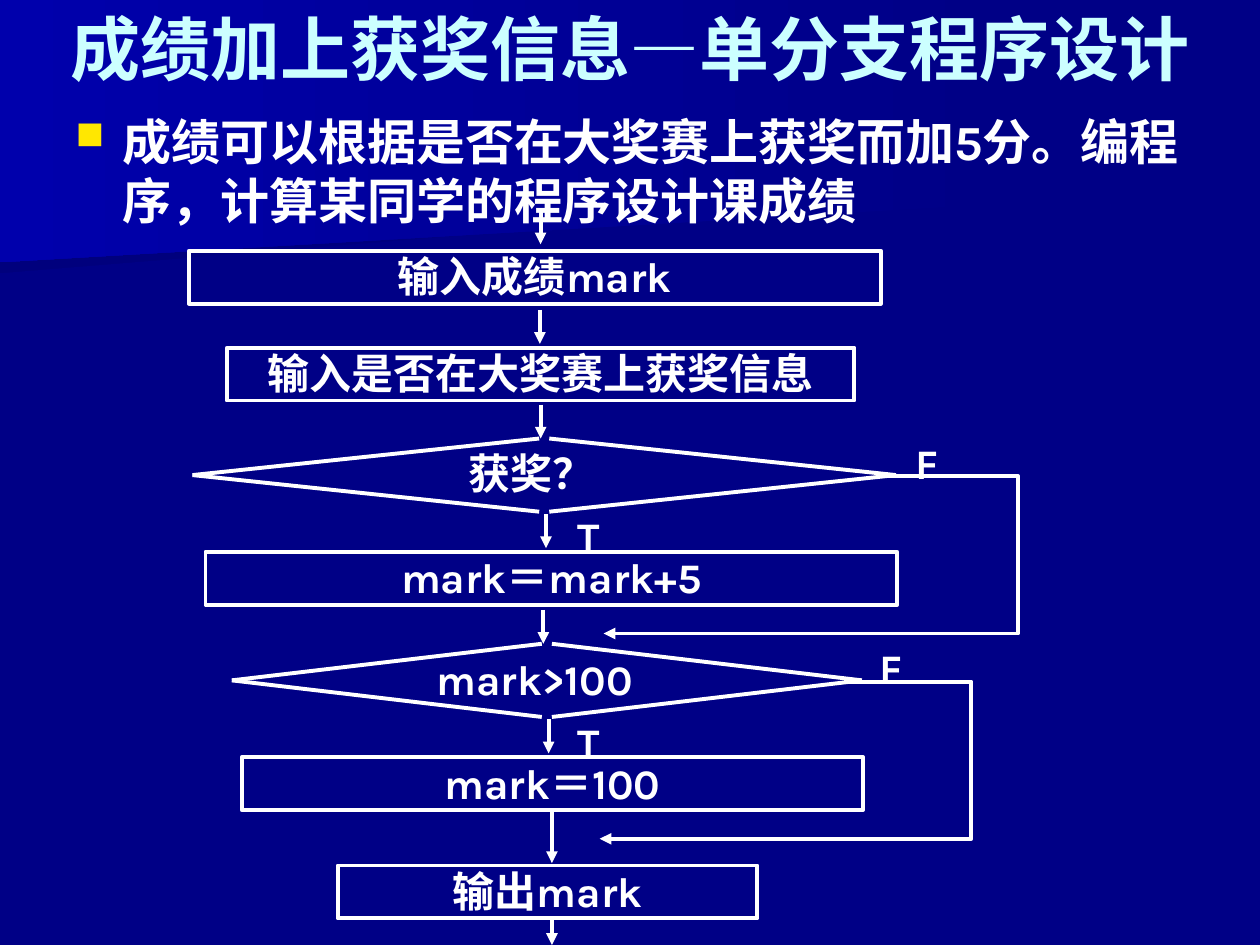
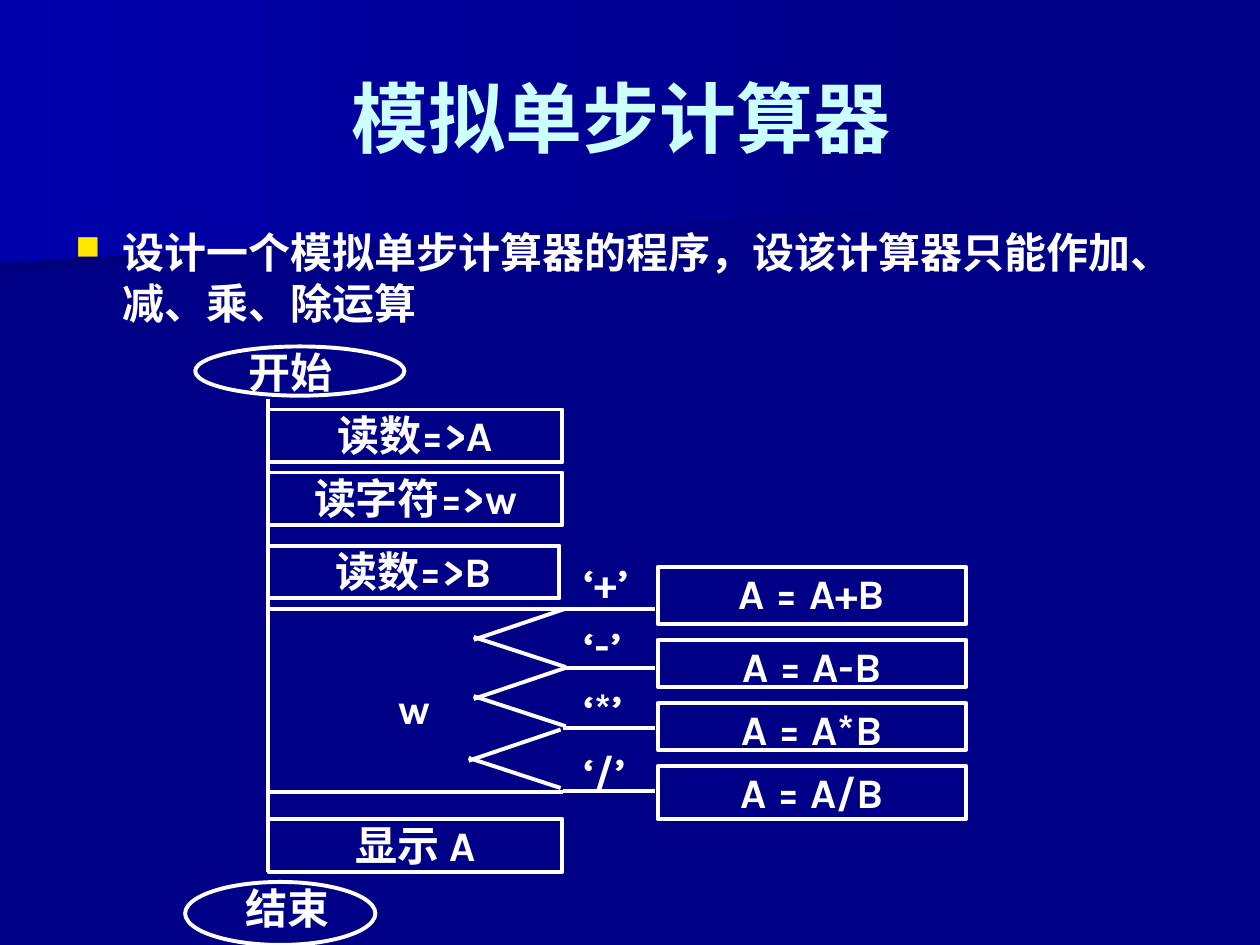
import dataclasses

import pptx
import pptx.dml.color
import pptx.enum.shapes
import pptx.enum.text
import pptx.oxml
import pptx.oxml.ns
import pptx.util

Pt = pptx.util.Pt
SHAPE = pptx.enum.shapes.MSO_SHAPE
ALIGN = pptx.enum.text.PP_ALIGN
ANCHOR = pptx.enum.text.MSO_ANCHOR


@dataclasses.dataclass(frozen=True)
class Theme:
    font: str = "Karla"
    background: str = "000086"
    band_dark: str = "00007D"
    band_light: str = "0000AC"
    title: str = "CCFFFF"
    text: str = "FFFFFF"
    bullet: str = "FFE701"
    line_width: float = 2.25
    title_size: int = 44
    long_title_size: int = 40
    lead_size: int = 28
    body_size: int = 24


THEME = Theme()
BOX_H = 30.2


# Basic elements
def rgb(value):
    return pptx.dml.color.RGBColor.from_string(value)


def add_xml(parent, tag, inner="", **attrs):
    """Append one DrawingML element to parent."""
    pairs = " ".join(f'{k}="{v}"' for k, v in attrs.items())
    ns = pptx.oxml.ns.nsdecls("a")
    parent.append(pptx.oxml.parse_xml(f"<a:{tag} {ns} {pairs}>{inner}</a:{tag}>"))


def write(tf, text, size=THEME.body_size, color=THEME.text, align=ALIGN.CENTER,
          anchor=ANCHOR.TOP, inset=(0, 0), bullet=False):
    tf.word_wrap = True
    tf.vertical_anchor = anchor
    tf.margin_left = tf.margin_right = Pt(inset[0])
    tf.margin_top = tf.margin_bottom = Pt(inset[1])
    p = tf.paragraphs[0]
    p.alignment = align
    if bullet:
        pPr = p._p.get_or_add_pPr()
        pPr.set("marL", str(Pt(27)))
        pPr.set("indent", str(Pt(-27)))
        add_xml(pPr, "buClr", f'<a:srgbClr val="{THEME.bullet}"/>')
        add_xml(pPr, "buSzPct", val=80000)
        add_xml(pPr, "buChar", char="■")
    r = p.add_run()
    r.text = text
    r.font.name = THEME.font
    r.font.size = Pt(size)
    r.font.bold = True
    r.font.color.rgb = rgb(color)


def add_text(s, x, y, w, h, text, **fmt):
    sp = s.shapes.add_textbox(Pt(x), Pt(y), Pt(w), Pt(h))
    write(sp.text_frame, text, **fmt)


def stroke(sp, arrow=False):
    sp.line.color.rgb = rgb(THEME.text)
    sp.line.width = Pt(THEME.line_width)
    if arrow:
        add_xml(sp.line._get_or_add_ln(), "tailEnd", type="triangle")


def add_outline(s, kind, x, y, w, h):
    sp = s.shapes.add_shape(kind, Pt(x), Pt(y), Pt(w), Pt(h))
    sp.shadow.inherit = False
    sp.fill.background()
    stroke(sp)
    return sp


def add_box(s, x, y, w, text, h=BOX_H):
    write(add_outline(s, SHAPE.RECTANGLE, x, y, w, h).text_frame, text)


def add_line(s, x1, y1, x2, y2, arrow=False):
    sp = s.shapes.add_connector(pptx.enum.shapes.MSO_CONNECTOR.STRAIGHT,
                                Pt(x1), Pt(y1), Pt(x2), Pt(y2))
    stroke(sp, arrow)
    add_xml(sp._element.spPr, "effectLst")


def add_arrow_down(s, x, y, length=19.4):
    add_line(s, x, y, x, y + length, arrow=True)


def add_path(s, points, close):
    start, *rest = [(Pt(x), Pt(y)) for x, y in points]
    builder = s.shapes.build_freeform(*start)
    builder.add_line_segments(rest, close=close)
    sp = builder.convert_to_shape()
    sp.shadow.inherit = False
    return sp


# Shared slide frame
def add_band(s, points, color):
    sp = add_path(s, points, close=True)
    sp.line.fill.background()
    sp.fill.gradient()
    sp.fill.gradient_angle = 180
    for stop, value in zip(sp.fill.gradient_stops, (THEME.background, color)):
        stop.color.rgb = rgb(value)


def add_slide(prs, title, title_box, title_size, lead, lead_top, lead_size):
    s = prs.slides.add_slide(prs.slide_layouts[6])
    add_band(s, [(560.2, 110.2), (0, 156), (0, 72.7), (560.9, 72.7), (560.2, 92.2)],
             THEME.band_dark)
    add_band(s, [(570.2, 116.6), (0, 149.8), (0, 0), (570.2, 0)], THEME.band_light)
    add_text(s, *title_box, title, size=title_size, color=THEME.title,
             anchor=ANCHOR.MIDDLE, inset=(7.2, 3.6))
    add_text(s, 36, lead_top, 648, 354, lead, size=lead_size, align=ALIGN.LEFT,
             inset=(7.2, 3.6), bullet=True)
    return s


# Flowchart parts
def add_branch(s, top, cx, half_w, question, question_cx, action, action_x, action_w,
               false_cx, bypass):
    """Decision with its action below and a bypass for the false case."""
    mid, bottom = top + 20.9, top + 41.8
    for side in (-1, 1):
        for y in (top, bottom):
            add_line(s, cx + side * 2.9, y, cx + side * half_w, mid)
    question_w = 2 * half_w - 50
    add_text(s, question_cx - question_w / 2, top + 5.4, question_w, 24.5, question)
    add_text(s, false_cx - 48, top - 0.7, 96, 22.3, "F")
    add_text(s, 330, top + 41.4, 63, 17, "T", align=ALIGN.LEFT)
    add_arrow_down(s, cx - 2, top - 19.4)
    add_arrow_down(s, cx + 1, top + 43.2)
    add_box(s, action_x, top + 64.8, action_w, action)
    start, right, end = bypass
    out_y, back_y = top + 21.6, top + 111.4
    sp = add_path(s, [(start, out_y), (right, out_y), (right, back_y), (end, back_y)],
                  close=False)
    sp.fill.background()
    stroke(sp, arrow=True)


def add_terminal(s, x, y, w, h, text, text_cx):
    add_text(s, text_cx - 40, y, 80, 23, text)
    add_outline(s, SHAPE.OVAL, x, y, w, h)


def build_award_slide(prs):
    s = add_slide(prs, "成绩加上获奖信息—单分支程序设计", (24, -18, 672, 90),
                  THEME.long_title_size,
                  "成绩可以根据是否在大奖赛上获奖而加5分。编程序，计算某同学的程序设计课成绩",
                  60, THEME.lead_size)
    # Inputs
    add_arrow_down(s, 308.9, 120.2)
    add_box(s, 108, 143.3, 395.3, "输入成绩mark")
    add_arrow_down(s, 308.5, 177.1)
    add_box(s, 129.6, 198.7, 358.6, "输入是否在大奖赛上获奖信息")
    # Decisions
    add_branch(s, 250.6, 311, 201, "获奖？", 303.5, "mark＝mark+5", 117.4, 395.3,
               529.9, (501.1, 581.8, 344.9))
    add_branch(s, 367.9, 312.5, 180, "mark>100", 305.6, "mark＝100", 138.2, 355,
               509, (482.4, 555.1, 342.7))
    # Output
    add_arrow_down(s, 315.4, 463, 30.2)
    add_box(s, 193, 494.6, 239.8, "输出mark")
    add_arrow_down(s, 315.4, 525.6, 14.4)


def build_calculator_slide(prs):
    s = add_slide(prs, "模拟单步计算器 ", (36, 21.6, 648, 90), THEME.title_size,
                  "设计一个模拟单步计算器的程序，设该计算器只能作加、减、乘、除运算",
                  126, THEME.body_size)
    # Main sequence along the spine
    spine, fork = 153.4, 322
    add_terminal(s, 111.6, 198, 119.5, 28.1, "开始", 165.8)
    add_line(s, spine, 228.2, spine, 498.2)
    for y, w, text in ((234, 168, "读数=>A"), (270, 168, "读字符=>w"),
                       (311.8, 166.3, "读数=>B"), (468, 168, "显示 A")):
        add_box(s, spine, y, w, text)
    add_terminal(s, 105.8, 504, 108.7, 36, "结束", 164.2)
    # Selection on w
    add_text(s, 183.6, 390.2, 106.6, 36, "w")
    for y in (347.8, 452.5):
        add_line(s, spine, y, fork, y)
    for right, top in ((323.3, 347.8), (323.3, 381.6), (320.4, 416.9)):
        tip = right - 52.6
        add_line(s, right, top, tip, top + 17.8)
        add_line(s, right, top + 33.4, tip, top + 16.2)
    # Cases: operator, line height, box top, box height
    cases = (("+", 347.8, 324, 32.4), ("-", 381.6, 365.8, 26.6),
             ("*", 415.8, 401.8, 26.6), ("/", 452.2, 437.8, 30.2))
    for i, (op, line_y, box_y, box_h) in enumerate(cases):
        add_text(s, 333.4, 318.2 + 36 * i, 53, 28, f"‘{op}’", align=ALIGN.LEFT)
        add_line(s, fork, line_y, 374.4, line_y)
        add_box(s, 375.8, box_y, 176.4, f"A = A{op}B", box_h)


def main():
    prs = pptx.Presentation()
    prs.slide_width, prs.slide_height = Pt(720), Pt(540)
    fill = prs.slide_master.background.fill
    fill.solid()
    fill.fore_color.rgb = rgb(THEME.background)
    build_award_slide(prs)
    build_calculator_slide(prs)
    prs.save("out.pptx")


if __name__ == "__main__":
    main()
